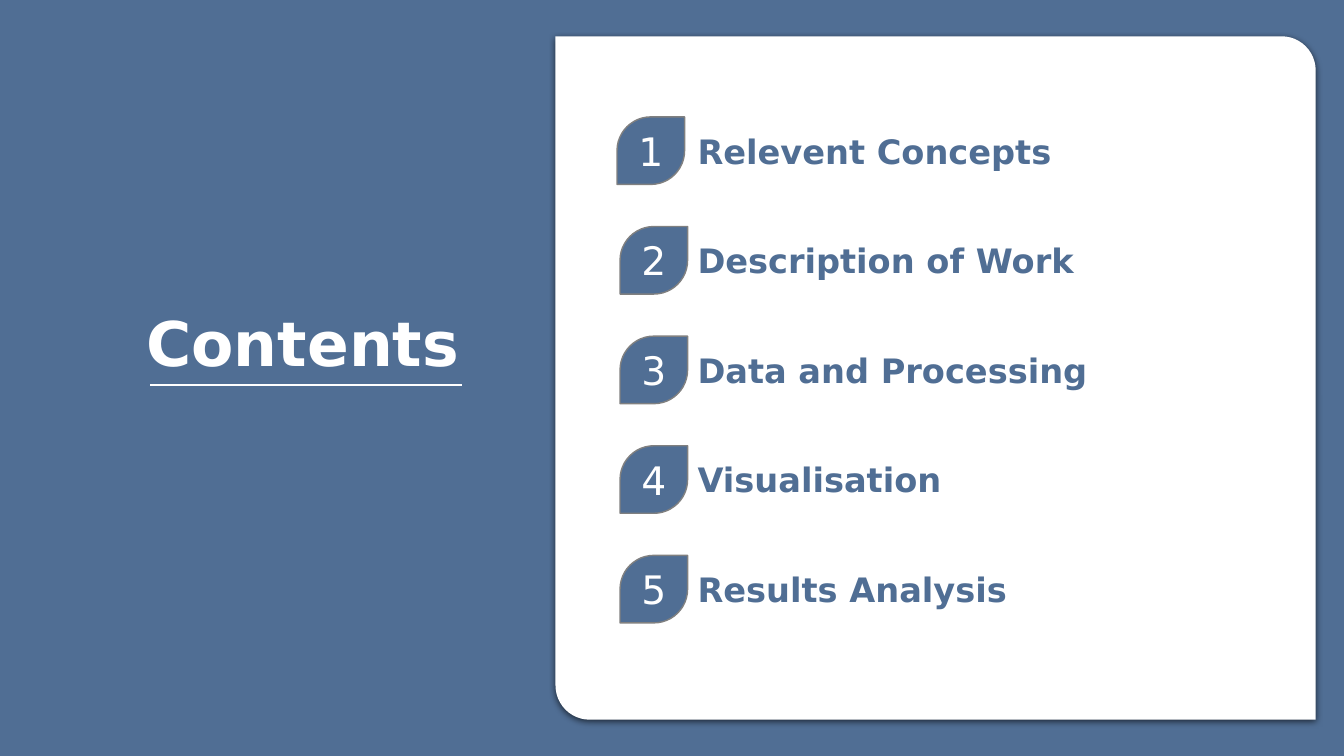
import pptx
import pptx.util
import pptx.dml.color
import pptx.enum.shapes
import pptx.enum.text
import pptx.oxml
import pptx.oxml.ns

COLORS = {"blue": "506E94", "white": "FFFFFF", "gray": "808080", "black": "000000"}
FONT = "DejaVu Sans"
TOPICS = ["Relevent Concepts", "Description of Work", "Data and Processing",
          "Visualisation", "Results Analysis"]

# Grid of the contents list, in inches
FIRST_ROW, LAST_ROW = 1.16, 5.51
ROW_PITCH = (LAST_ROW - FIRST_ROW) / (len(TOPICS) - 1)
FIRST_BADGE_COLUMN, BADGE_COLUMN, TOPIC_COLUMN = 6.12, 6.15, 6.82
BADGE_SIZE = 0.67
TOPIC_WIDTH, TOPIC_HEIGHT = 5.66, 0.5


def inches(*lengths):
    return [pptx.util.Inches(length) for length in lengths]


def rgb(color):
    return pptx.dml.color.RGBColor.from_string(COLORS[color])


def write(frame, text, size, color, bold=False, centered=False):
    frame.word_wrap = True
    paragraph = frame.paragraphs[0]
    paragraph.text = text
    paragraph.font.name = FONT
    paragraph.font.size = pptx.util.Pt(size)
    paragraph.font.bold = bold
    paragraph.font.color.rgb = rgb(color)
    align = pptx.enum.text.PP_ALIGN
    paragraph.alignment = align.CENTER if centered else align.LEFT


def add_label(slide, box, text, size, color, centered=False):
    frame = slide.shapes.add_textbox(*inches(*box)).text_frame
    write(frame, text, size, color, bold=True, centered=centered)
    frame.auto_size = pptx.enum.text.MSO_AUTO_SIZE.SHAPE_TO_FIT_TEXT


def add_leaf(slide, box, fill, corners):
    """Add a rectangle whose two diagonal corner pairs are rounded by the given shares."""
    leaf = slide.shapes.add_shape(
        pptx.enum.shapes.MSO_SHAPE.ROUND_2_DIAG_RECTANGLE, *inches(*box))
    leaf.adjustments[0], leaf.adjustments[1] = corners
    leaf.shadow.inherit = False
    leaf.fill.solid()
    leaf.fill.fore_color.rgb = rgb(fill)
    return leaf


def add_panel(slide):
    panel = add_leaf(slide, (5.51, 0.36, 7.54, 6.78), "white", (0, 0.05))
    panel.line.fill.background()
    effects = panel.element.spPr.find(pptx.oxml.ns.qn("a:effectLst"))
    effects.append(pptx.oxml.parse_xml(
        f'<a:outerShdw {pptx.oxml.ns.nsdecls("a")} blurRad="{pptx.util.Pt(4.5)}" '
        f'dist="{pptx.util.Pt(1.5)}" dir="5400000" algn="t" rotWithShape="0">'
        f'<a:srgbClr val="{COLORS["black"]}"><a:alpha val="63000"/></a:srgbClr>'
        '</a:outerShdw>'))


def add_badge(slide, left, top, number):
    badge = add_leaf(slide, (left, top, BADGE_SIZE, BADGE_SIZE), "blue", (0.5, 0))
    badge.line.color.rgb = rgb("gray")
    badge.line.width = pptx.util.Pt(1)
    write(badge.text_frame, str(number), 28, "white", centered=True)
    badge.text_frame.vertical_anchor = pptx.enum.text.MSO_ANCHOR.MIDDLE


def add_underline(slide, start, end, height):
    underline = slide.shapes.add_connector(
        pptx.enum.shapes.MSO_CONNECTOR.STRAIGHT, *inches(start, height, end, height))
    underline.line.color.rgb = rgb("white")
    underline.line.width = pptx.util.Pt(1.5)
    underline.element.spPr.append(pptx.oxml.parse_xml(
        f'<a:effectLst {pptx.oxml.ns.nsdecls("a")}/>'))


def main():
    presentation = pptx.Presentation()
    presentation.slide_width, presentation.slide_height = inches(13.33, 7.5)
    slide = presentation.slides.add_slide(presentation.slide_layouts[6])
    slide.background.fill.solid()
    slide.background.fill.fore_color.rgb = rgb("blue")

    add_panel(slide)
    add_label(slide, (1.22, 2.98, 3.57, 0.84), "Contents", 44, "white", centered=True)
    add_underline(slide, 1.49, 4.58, 3.82)
    for row, topic in enumerate(TOPICS):
        top = FIRST_ROW + row * ROW_PITCH
        topic_top = top + (BADGE_SIZE - TOPIC_HEIGHT) / 2
        add_label(slide, (TOPIC_COLUMN, topic_top, TOPIC_WIDTH, TOPIC_HEIGHT),
                  topic, 24, "blue")
        badge_left = BADGE_COLUMN if row else FIRST_BADGE_COLUMN
        add_badge(slide, badge_left, top, row + 1)

    presentation.save("out.pptx")


if __name__ == "__main__":
    main()
